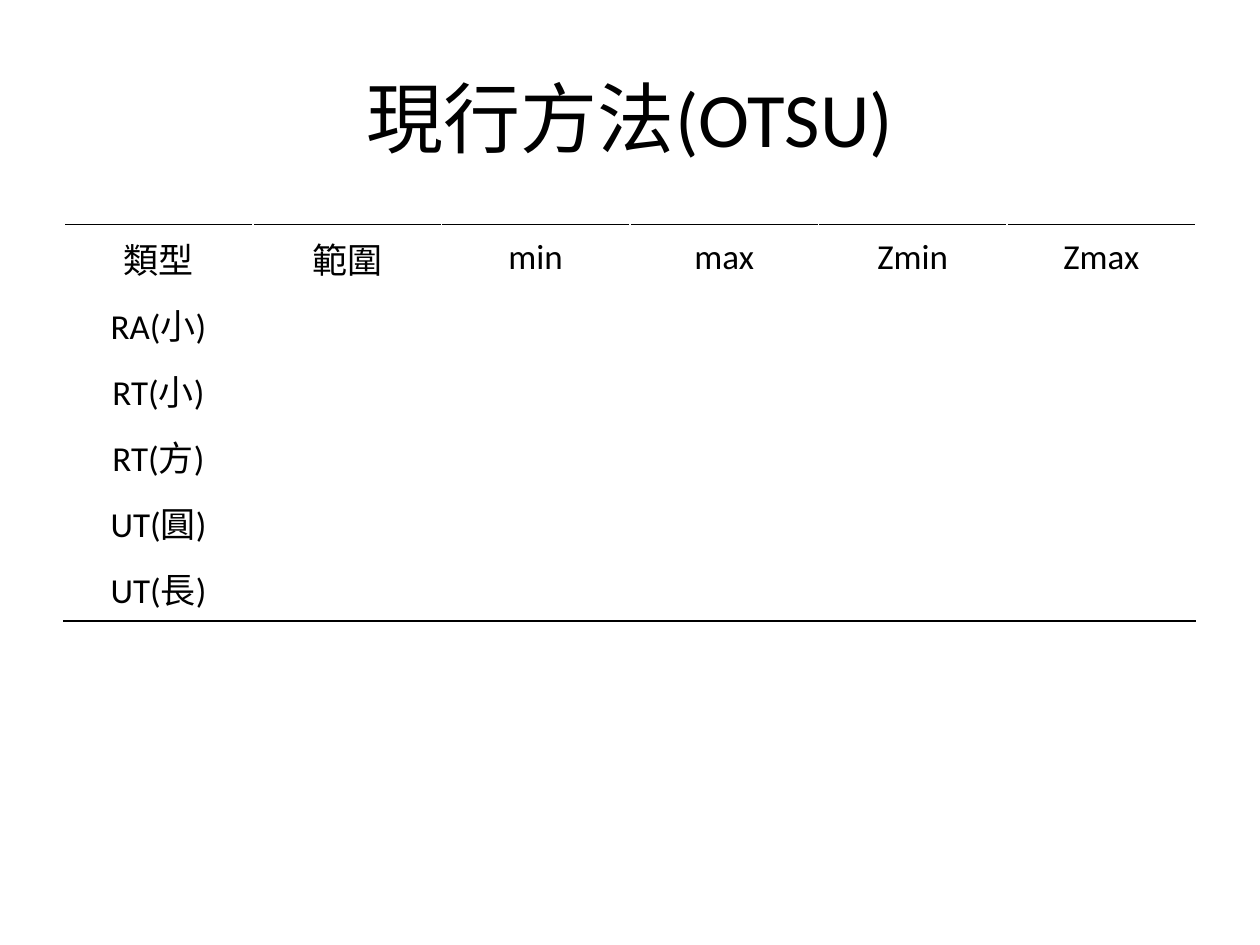
from lxml import etree
from pptx import Presentation
from pptx.dml.color import RGBColor
from pptx.enum import text
from pptx.oxml import ns
from pptx.util import Inches, Pt

COLORS = {"ink": "000000", "page": "FFFFFF"}
FONT = "Calibri"
HEADERS = ["類型", "範圍", "min", "max", "Zmin", "Zmax"]
TYPES = ["RA(小)", "RT(小)", "RT(方)", "UT(圓)", "UT(長)"]


def write(frame, words, size):
    """Write one centred paragraph in the slide's font."""
    frame.text = words
    para = frame.paragraphs[0]
    para.alignment = text.PP_ALIGN.CENTER
    for span in para.runs:
        span.font.name = FONT
        span.font.size = Pt(size)
        span.font.color.rgb = RGBColor.from_string(COLORS["ink"])


def add_rule(cell, side):
    """Draw a one-point rule on the given side of a cell."""
    line = etree.Element(ns.qn(f"a:ln{side}"), w=str(Pt(1)))
    fill = etree.SubElement(line, ns.qn("a:solidFill"))
    etree.SubElement(fill, ns.qn("a:srgbClr"), val=COLORS["ink"])
    cell._tc.get_or_add_tcPr().insert(0, line)


def add_title(page, left, top, width, height):
    """Place the heading in the given box."""
    box = page.shapes.add_textbox(left, top, width, height)
    frame = box.text_frame
    frame.word_wrap = True
    frame.vertical_anchor = text.MSO_ANCHOR.MIDDLE
    write(frame, "現行方法(OTSU)", 44)


def add_results(page, left, top, width, height):
    """Place the results table, ruled above and below, in the given box."""
    rows = [HEADERS] + [[name] + [""] * (len(HEADERS) - 1) for name in TYPES]
    table = page.shapes.add_table(
        len(rows), len(HEADERS), left, top, width, height
    ).table
    table.first_row = table.horz_banding = False
    for row, values in enumerate(rows):
        for column, value in enumerate(values):
            cell = table.cell(row, column)
            cell.fill.background()
            cell.vertical_anchor = text.MSO_ANCHOR.MIDDLE
            cell.margin_left = cell.margin_right = cell.margin_top = Inches(0.01)
            cell.margin_bottom = 0
            if value:
                write(cell.text_frame, value, 20)
            if row == 0:
                add_rule(cell, "T")
            elif row == len(rows) - 1:
                add_rule(cell, "B")


def main():
    """Build the slide and save the deck."""
    deck = Presentation()
    deck.slide_width, deck.slide_height = Inches(10), Inches(7.5)
    page = deck.slides.add_slide(deck.slide_layouts[6])
    background = page.background.fill
    background.solid()
    background.fore_color.rgb = RGBColor.from_string(COLORS["page"])
    add_title(page, Inches(0.5), Inches(0.3), Inches(9), Inches(1.25))
    add_results(page, Inches(0.51), Inches(1.78), Inches(8.98), Inches(3.15))
    deck.save("out.pptx")


if __name__ == "__main__":
    main()
